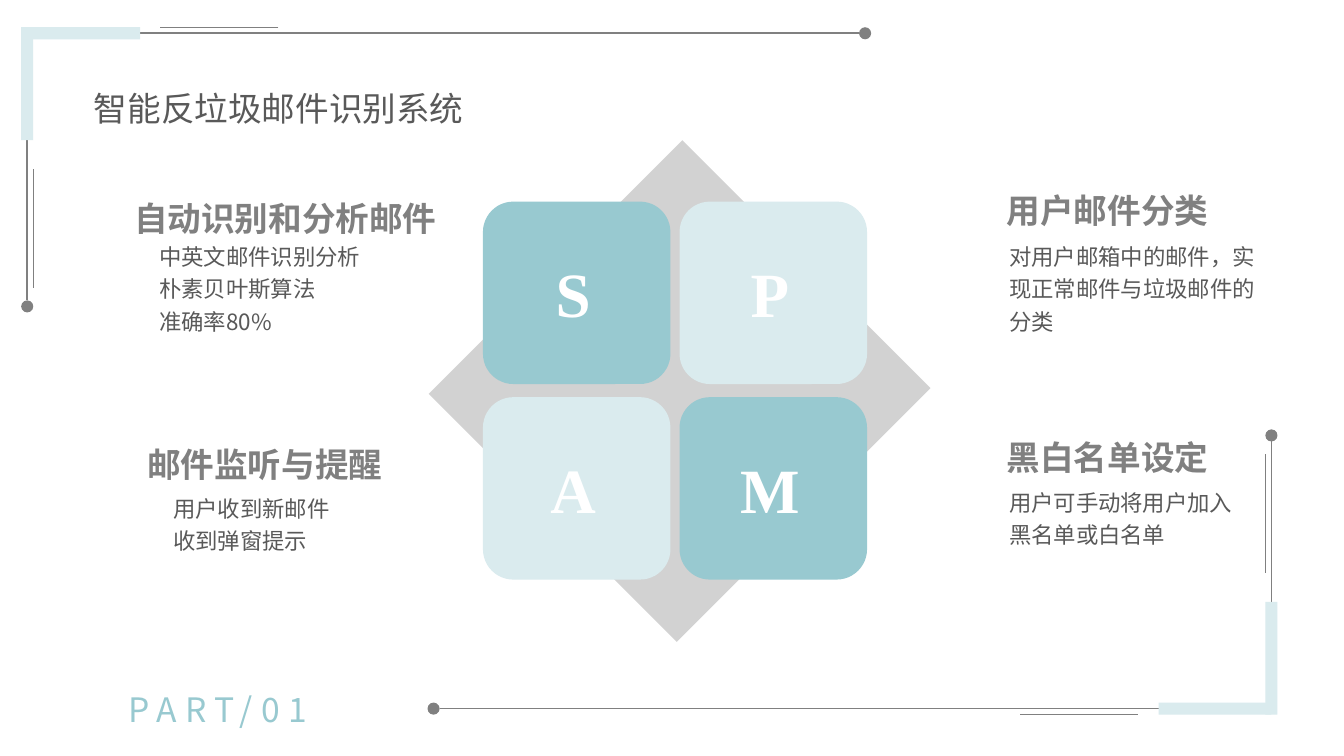
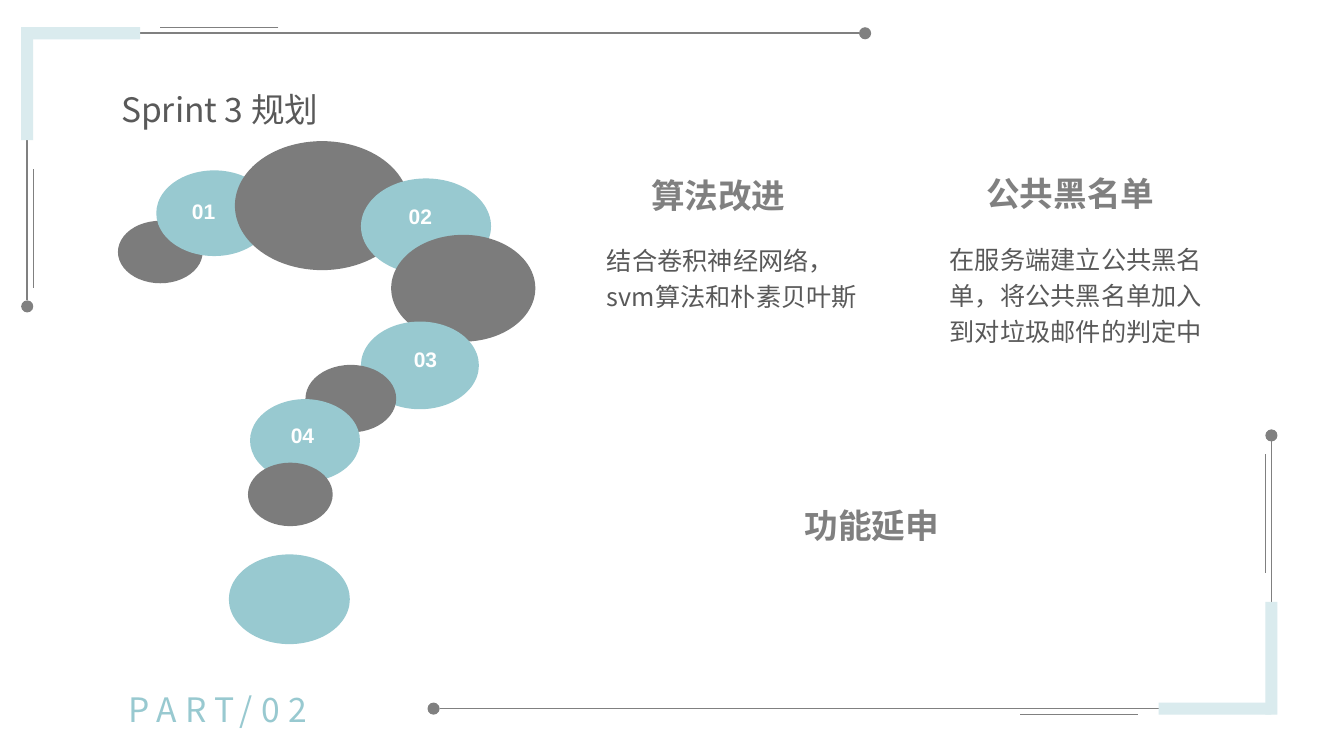
from lxml import etree
from pptx import Presentation
from pptx.dml.color import RGBColor
from pptx.enum.shapes import MSO_CONNECTOR, MSO_SHAPE
from pptx.enum.text import MSO_ANCHOR, MSO_AUTO_SIZE, PP_ALIGN
from pptx.oxml.ns import qn
from pptx.util import Pt

PX = 9144
SLIDE_SIZE = (1333, 750)
COMPARISON_LAYOUT = 4
FRAME_SPAN = (1288, 736)

COLORS = {
    "teal": "98C9D0",
    "pale": "DAEBEE",
    "line": "808080",
    "heading": "808080",
    "text": "595959",
    "bubble": "7C7C7C",
    "diamond": "A6A6A6",
    "white": "FFFFFF",
}
SANS = "Noto Sans CJK SC"
TITLE_SANS = "Noto Sans CJK JP"

FRAME_LINES = [
    (852, 33, 27, 33, 1.25),
    (27, 33, 27, 298, 1.25),
    (276, 27, 159, 27, 0.5),
    (33, 168, 33, 286, 0.5),
]
FRAME_DOTS = [(852, 27, 12, 12), (21, 298, 12, 12)]
FRAME_BARS = [(27, 27, 112, 12), (21, 27, 12, 112)]

FEATURES = [
    ("自动识别和分析邮件", (112, 180, 342, 60),
     ["中英文邮件识别分析", "朴素贝叶斯算法", "准确率80%"], (148, 231, 278, 109)),
    ("用户邮件分类", (948, 172, 301, 60),
     ["对用户邮箱中的邮件，实现正常邮件与垃圾邮件的分类"], (991, 231, 278, 105)),
    ("邮件监听与提醒", (112, 424, 301, 60),
     ["用户收到新邮件", "收到弹窗提示"], (162, 481, 215, 72)),
    ("黑白名单设定", (948, 417, 301, 60),
     ["用户可手动将用户加入黑名单或白名单"], (991, 475, 246, 72)),
]
PLANS = [
    ("算法改进", (562, 158, 301, 60),
     ["结合卷积神经网络，svm算法和朴素贝叶斯"], (592, 232, 278, 80)),
    ("公共黑名单", (911, 156, 301, 60),
     ["在服务端建立公共黑名单，将公共黑名单加入到对垃圾邮件的判定中"],
     (932, 231, 278, 116)),
    ("功能延申", (714, 485, 301, 60), [], None),
]
BUBBLES = [
    (117, 219, 84, 62, "bubble"),
    (155, 169, 115, 85, "teal"),
    (233, 140, 173, 128, "bubble"),
    (358, 177, 129, 95, "teal"),
    (388, 233, 143, 106, "bubble"),
    (358, 319, 117, 87, "teal"),
    (303, 362, 90, 67, "bubble"),
    (248, 396, 109, 82, "teal"),
    (246, 459, 84, 63, "bubble"),
    (227, 550, 120, 89, "teal"),
]
BUBBLE_LABELS = [(144, 192), (359, 197), (364, 339), (242, 414)]


def rgb(color):
    return RGBColor.from_string(COLORS[color])


def emu(lengths):
    return [length * PX for length in lengths]


def place(shape, box):
    shape.left, shape.top, shape.width, shape.height = emu(box)


def write(shape, paragraphs, *, size, color, font=SANS, bold=False,
          align=PP_ALIGN.LEFT, anchor=MSO_ANCHOR.TOP, line_spacing=1.0,
          insets=(10, 5, 10, 5), letter_spacing=0):
    frame = shape.text_frame
    frame.word_wrap = True
    frame.auto_size = MSO_AUTO_SIZE.NONE
    frame.vertical_anchor = anchor
    (frame.margin_left, frame.margin_top,
     frame.margin_right, frame.margin_bottom) = emu(insets)
    for index, text in enumerate(paragraphs):
        paragraph = frame.add_paragraph() if index else frame.paragraphs[0]
        paragraph.alignment = align
        paragraph.line_spacing = line_spacing
        paragraph.space_before = Pt(0)
        if shape.is_placeholder:
            properties = paragraph._p.get_or_add_pPr()
            properties.set("marL", "0")
            properties.set("indent", "0")
            etree.SubElement(properties, qn("a:buNone"))
        run = paragraph.add_run()
        run.text = text
        run.font.size = Pt(size)
        run.font.bold = bold
        run.font.name = font
        run.font.color.rgb = rgb(color)
        run_properties = run.font._element
        etree.SubElement(run_properties, qn("a:ea")).set("typeface", font)
        if letter_spacing:
            run_properties.set("spc", str(letter_spacing * 100))


def add_text(slide, box, paragraphs, **text_format):
    write(slide.shapes.add_textbox(*emu(box)), paragraphs, **text_format)


def add_filled(slide, kind, box, color):
    shape = slide.shapes.add_shape(kind, *emu(box))
    shape.shadow.inherit = False
    shape.fill.solid()
    shape.fill.fore_color.rgb = rgb(color)
    shape.line.fill.background()
    return shape


def add_line(slide, ends, width):
    line = slide.shapes.add_connector(MSO_CONNECTOR.STRAIGHT, *emu(ends))
    line.line.color.rgb = rgb("line")
    line.line.width = Pt(width)
    etree.SubElement(line._element.spPr, qn("a:effectLst"))


def opposite_point(x, y):
    return FRAME_SPAN[0] - x, FRAME_SPAN[1] - y


def opposite_box(box):
    left, top, width, height = box
    return (*opposite_point(left + width, top + height), width, height)


def add_corner(slide, opposite):
    for x1, y1, x2, y2, width in FRAME_LINES:
        ends = (x1, y1, x2, y2)
        if opposite:
            ends = opposite_point(x1, y1) + opposite_point(x2, y2)
        add_line(slide, ends, width)
    for kind, boxes, color in ((MSO_SHAPE.OVAL, FRAME_DOTS, "line"),
                               (MSO_SHAPE.RECTANGLE, FRAME_BARS, "pale")):
        for box in boxes:
            add_filled(slide, kind, opposite_box(box) if opposite else box, color)


def add_framed_slide(presentation, title, title_box, part):
    slide = presentation.slides.add_slide(
        presentation.slide_layouts[COMPARISON_LAYOUT])
    place(slide.shapes.title, title_box)
    write(slide.shapes.title, [title], size=24, color="text", font=TITLE_SANS,
          align=PP_ALIGN.CENTER, anchor=MSO_ANCHOR.MIDDLE, line_spacing=1.2,
          insets=(0, 0, 0, 0))
    for opposite in (False, True):
        add_corner(slide, opposite)
    add_text(slide, (27, 657, 378, 92), [f"PART/{part:02}"], size=24,
             color="teal", align=PP_ALIGN.CENTER, anchor=MSO_ANCHOR.MIDDLE,
             letter_spacing=6)
    return slide


def add_sections(slide, sections, body_size):
    free = [holder for holder in slide.placeholders
            if holder.placeholder_format.idx > 0]

    def fill_next(box, paragraphs, **text_format):
        if free:
            holder = free.pop(0)
            place(holder, box)
            write(holder, paragraphs, **text_format)
        else:
            add_text(slide, box, paragraphs, **text_format)

    for heading, heading_box, body, body_box in sections:
        fill_next(heading_box, [heading], size=24, color="heading", bold=True,
                  align=PP_ALIGN.CENTER, line_spacing=1.2, insets=(16, 8, 16, 8))
        if body:
            fill_next(body_box, body, size=body_size, color="text",
                      line_spacing=1.2)


def add_spam_tiles(slide):
    diamond = add_filled(slide, MSO_SHAPE.RECTANGLE, (500, 210, 348, 356), "diamond")
    diamond.rotation = 45
    fill_color = diamond._element.spPr.find(f".//{qn('a:srgbClr')}")
    etree.SubElement(fill_color, qn("a:alpha")).set("val", "50000")
    for index, letter in enumerate("SPAM"):
        row, column = divmod(index, 2)
        tile = add_filled(slide, MSO_SHAPE.ROUNDED_RECTANGLE,
                          (479 + column * 195, 200 + row * 194, 186, 181),
                          "teal" if row == column else "pale")
        write(tile, [letter], size=45, color="white", font="Times New Roman",
              bold=True, align=PP_ALIGN.CENTER, anchor=MSO_ANCHOR.MIDDLE,
              insets=(0, 0, 7, 0))


def add_question_mark(slide):
    for *box, color in BUBBLES:
        add_filled(slide, MSO_SHAPE.OVAL, box, color)
    for number, (left, top) in enumerate(BUBBLE_LABELS, 1):
        add_text(slide, (left, top, 116, 35), [f"{number:02}"], size=15,
                 color="white", font="Arial", bold=True, align=PP_ALIGN.CENTER)


def main():
    presentation = Presentation()
    presentation.slide_width, presentation.slide_height = emu(SLIDE_SIZE)

    system = add_framed_slide(presentation, "智能反垃圾邮件识别系统",
                              (80, 51, 393, 105), 1)
    add_spam_tiles(system)
    add_sections(system, FEATURES, 16)

    sprint = add_framed_slide(presentation, "Sprint 3 规划",
                              (83, 52, 270, 104), 2)
    add_question_mark(sprint)
    add_sections(sprint, PLANS, 18)

    presentation.save("out.pptx")


if __name__ == "__main__":
    main()
